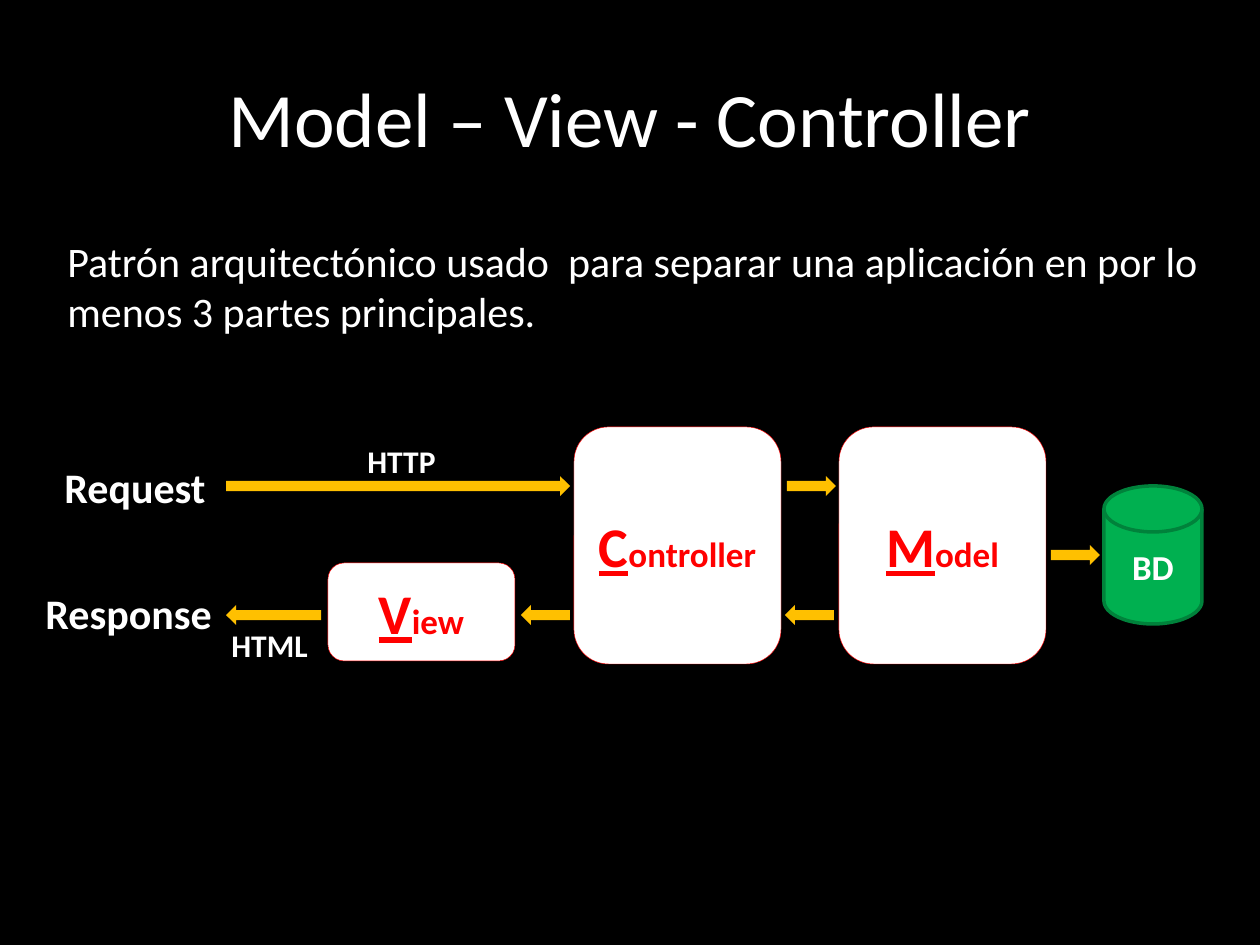
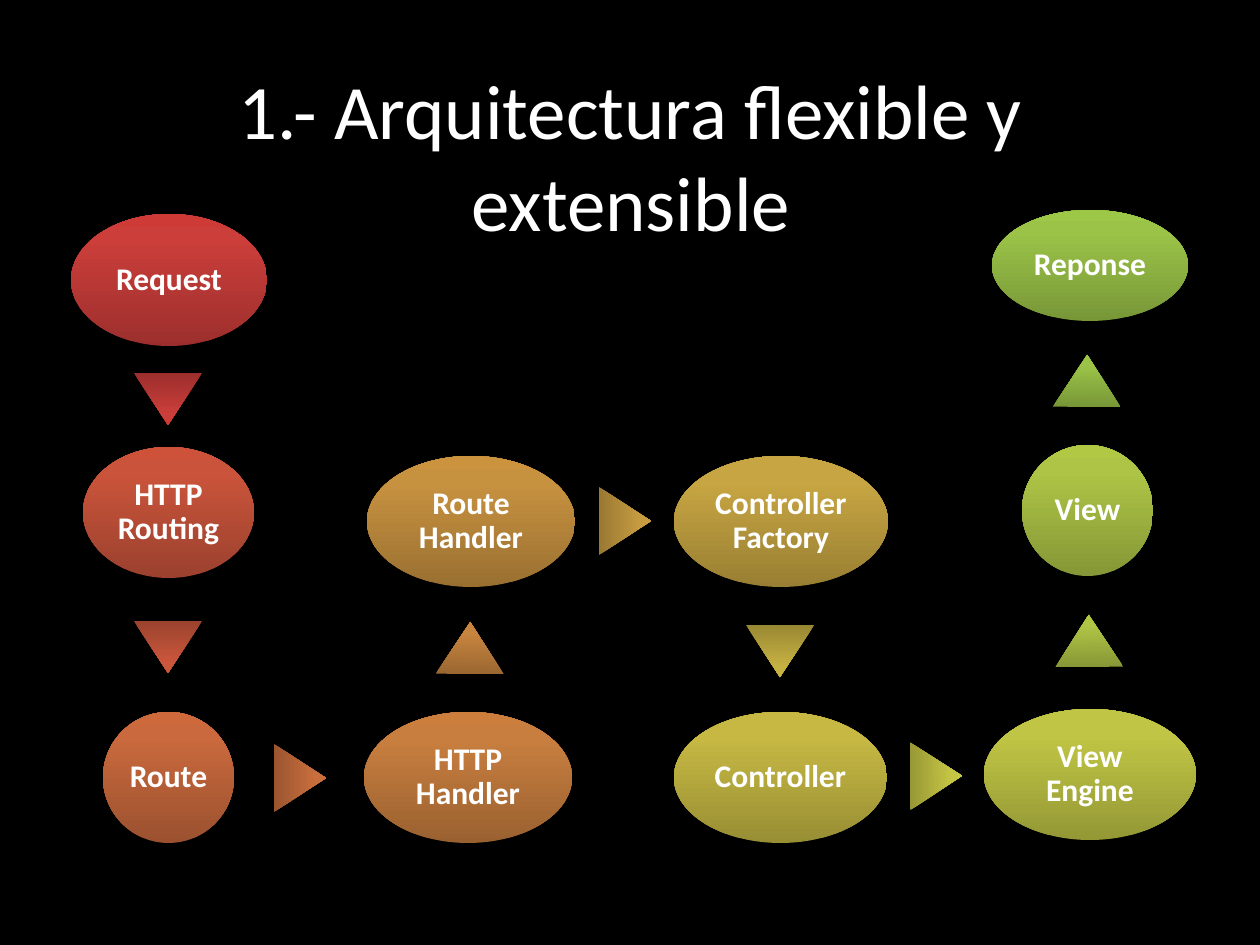
from copy import deepcopy

from pptx import Presentation
from pptx.dml.color import RGBColor
from pptx.enum.shapes import MSO_SHAPE as SHAPE
from pptx.enum.text import MSO_ANCHOR as ANCHOR, MSO_AUTO_SIZE as AUTO, PP_ALIGN as ALIGN
from pptx.util import Emu, Pt

PX = 914400 / 126
BLACK = RGBColor(0x00, 0x00, 0x00)
WHITE = RGBColor(0xFF, 0xFF, 0xFF)
RED = RGBColor(0xFF, 0x00, 0x00)
AMBER = RGBColor(0xFF, 0xC0, 0x00)
GREEN = RGBColor(0x00, 0xB0, 0x50)
DARK_GREEN = RGBColor(0x00, 0x82, 0x3B)
RAMPS = [[RGBColor.from_string(c) for c in row.split()] for row in (
    "9C2F2D CB3E3A CE3B37", "9C2F2D CB3E3A CE3B37",
    "9B412E CA543B CE5239", "9B432E CA563C CD5539",
    "9B512F C9693D CD693B", "9B552F C96E3D CD6E3B",
    "9A6130 C87E3F CC7E3C", "9A6731 C8853F CC863D",
    "9A7031 C79240 CB933E", "997832 C79C41 CB9D3F",
    "997F33 C7A542 CAA740", "998833 C6B143 CAB341",
    "988E34 C6B843 C9BB41", "989835 C5C545 C8C942",
    "949835 C0C545 C3C843", "879736 B0C446 B2C844",
    "859736 ADC446 B0C844", "779737 9BC348 9DC746",
    "779737 9BC348 9DC746",
)]
STOPS = (0, 0.8, 1)

STEPS = [
    ("Request", 71, 214, 196, 132),
    ("HTTP Routing", 83, 447, 171, 131),
    ("Route", 103, 712, 131, 131),
    ("HTTP Handler", 364, 712, 208, 131),
    ("Route Handler", 367, 456, 208, 131),
    ("Controller Factory", 674, 456, 214, 131),
    ("Controller", 674, 712, 213, 131),
    ("View Engine", 984, 709, 212, 131),
    ("View", 1022, 445, 131, 131),
    ("Reponse", 992, 210, 196, 111),
]
POINTERS = [
    (134, 373, 180), (134, 621, 180), (266, 752, 90),
    (436, 622, 0.5), (591, 495, 90), (746, 625, 180.2),
    (902, 750, 89.6), (1055, 615, 359.4), (1053, 355, 0.5),
]
PARTS = [
    ("View", 328, 563, 187, 98),
    ("Controller", 574, 427, 207, 237),
    ("Model", 839, 427, 207, 237),
]
ARROWS = [
    (226, 476, 344, 0), (226, 605, 95, 180), (787, 476, 49, 0),
    (521, 605, 49, 180), (785, 605, 49, 180), (1051, 545, 49, 0),
]
LABELS = [
    ("Request", 52, 455, 169, 63, 24),
    ("Response", 33, 581, 194, 63, 24),
    ("HTTP", 355, 436, 95, 50, 18),
    ("HTML", 219, 620, 102, 50, 18),
]


def px(*values):
    return [Emu(round(v * PX)) for v in values]


def add_run(p, text, size, color=WHITE, **fmt):
    r = p.add_run()
    r.text = text
    for key, value in {"name": "Calibri", "size": Pt(size), **fmt}.items():
        setattr(r.font, key, value)
    r.font.color.rgb = color


def add_slide(prs, title, x, y):
    slide = prs.slides.add_slide(prs.slide_layouts[5])
    s = slide.shapes.title
    s.left, s.top, s.width, s.height = px(x, y, 1134, 158)
    tf = s.text_frame
    tf.auto_size, tf.vertical_anchor = AUTO.NONE, ANCHOR.MIDDLE
    p = tf.paragraphs[0]
    p.alignment = ALIGN.CENTER
    add_run(p, title, 44)
    return slide


def add_label(slide, text, x, y, w, h, size, wrap=False, bold=True):
    tf = slide.shapes.add_textbox(*px(x, y, w, h)).text_frame
    tf.word_wrap, tf.auto_size = wrap, AUTO.SHAPE_TO_FIT_TEXT
    add_run(tf.paragraphs[0], text, size, bold=bold)


def add_figure(slide, kind, box, fill=None, line=None, width=0, rotation=0):
    s = slide.shapes.add_shape(kind, *px(*box))
    s.shadow.inherit = False
    s.rotation = rotation
    if fill:
        s.fill.solid()
        s.fill.fore_color.rgb = fill
    if line:
        s.line.color.rgb = line
        s.line.width = Pt(width)
    else:
        s.line.fill.background()
    return s


def center_text(s):
    tf = s.text_frame
    tf.word_wrap, tf.vertical_anchor = True, ANCHOR.MIDDLE
    p = tf.paragraphs[0]
    p.alignment = ALIGN.CENTER
    return p


def shade(s, ramp):
    s.fill.gradient()
    s.fill.gradient_angle = 90
    first = s.fill._fill._gradFill.gsLst[0]
    first.addnext(deepcopy(first))
    for stop, position, color in zip(s.fill.gradient_stops, STOPS, ramp):
        stop.position = position
        stop.color.rgb = color


def add_part(slide, name, *box):
    p = center_text(add_figure(slide, SHAPE.ROUNDED_RECTANGLE, box, WHITE, RED, 0.25))
    add_run(p, name[0], 32, RED, bold=True, underline=True)
    add_run(p, name[1:], 20, RED, bold=True)


def add_step(slide, ramp, name, *box):
    s = add_figure(slide, SHAPE.OVAL, box)
    shade(s, ramp)
    p = center_text(s)
    p.line_spacing = 0.9
    for side in ("left", "top", "right", "bottom"):
        setattr(s.text_frame, f"margin_{side}", px(4)[0])
    add_run(p, name, 18, bold=True)


def add_pointer(slide, ramp, x, y, rotation):
    box = (x, y, 68, 52)
    shade(add_figure(slide, SHAPE.ISOSCELES_TRIANGLE, box, rotation=rotation), ramp)


def build_pattern(prs):
    slide = add_slide(prs, "Model – View - Controller", 63, 38)
    for part in PARTS:
        add_part(slide, *part)
    disk = add_figure(slide, SHAPE.FLOWCHART_MAGNETIC_DISK, (1104, 486, 98, 138),
                      GREEN, DARK_GREEN, 2)
    add_run(center_text(disk), "BD", 20, bold=True)
    for x, y, w, rotation in ARROWS:
        add_figure(slide, SHAPE.RIGHT_ARROW, (x, y, w, 20), AMBER, rotation=rotation)
    for label in LABELS:
        add_label(slide, *label)
    add_label(slide, "Patrón arquitectónico usado  para separar una aplicación "
              "en por lo menos 3 partes principales.",
              55, 229, 1179, 115, 24, wrap=True, bold=False)


def build_flow(prs):
    slide = add_slide(prs, "1.- Arquitectura flexible y extensible", 64, 76)
    for ramp, step in zip(RAMPS[::2], STEPS):
        add_step(slide, ramp, *step)
    for ramp, pointer in zip(RAMPS[1::2], POINTERS):
        add_pointer(slide, ramp, *pointer)


def main():
    prs = Presentation()
    prs.slide_width, prs.slide_height = px(1260, 945)
    background = prs.slide_master.background.fill
    background.solid()
    background.fore_color.rgb = BLACK
    build_pattern(prs)
    build_flow(prs)
    prs.save("out.pptx")


if __name__ == "__main__":
    main()
